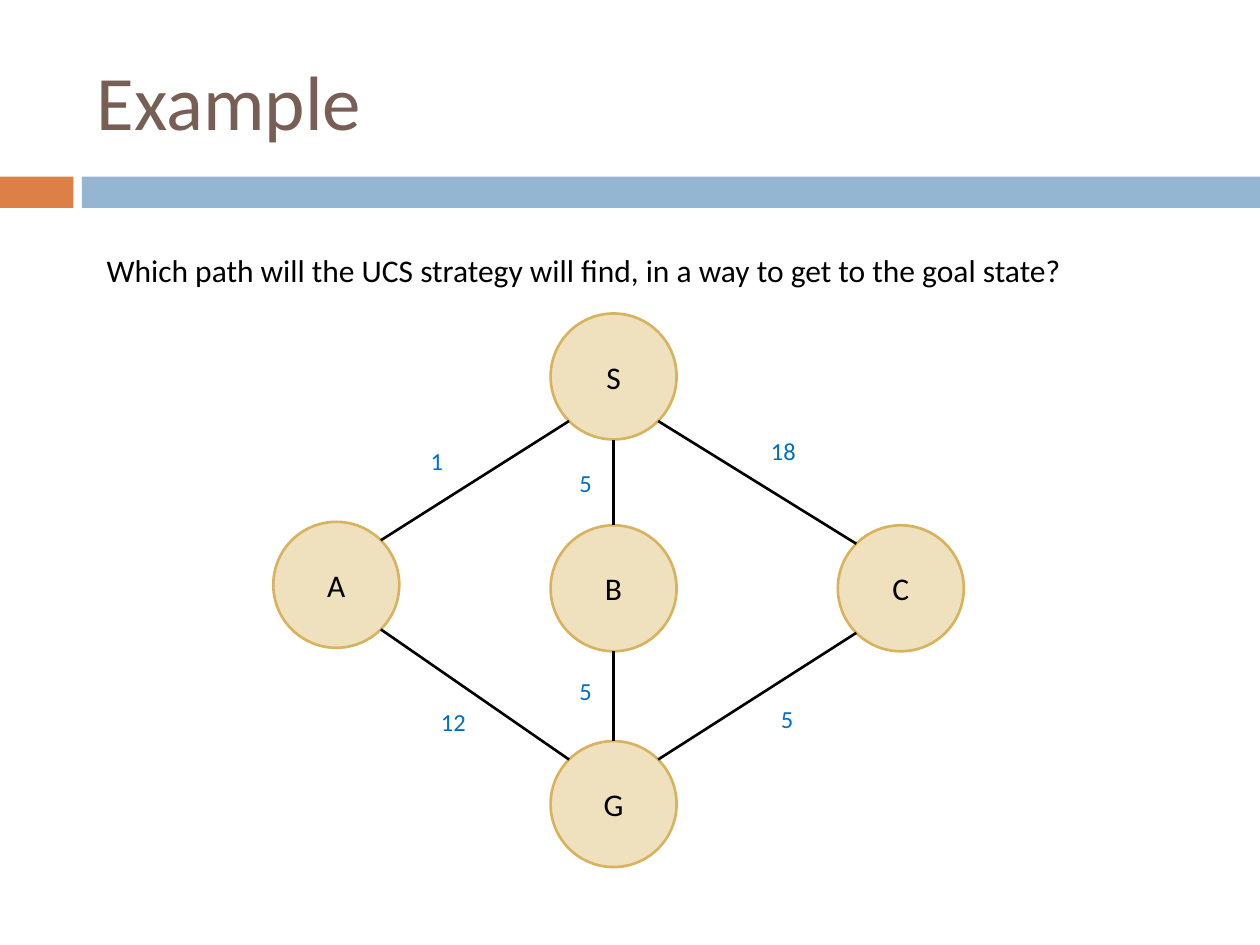
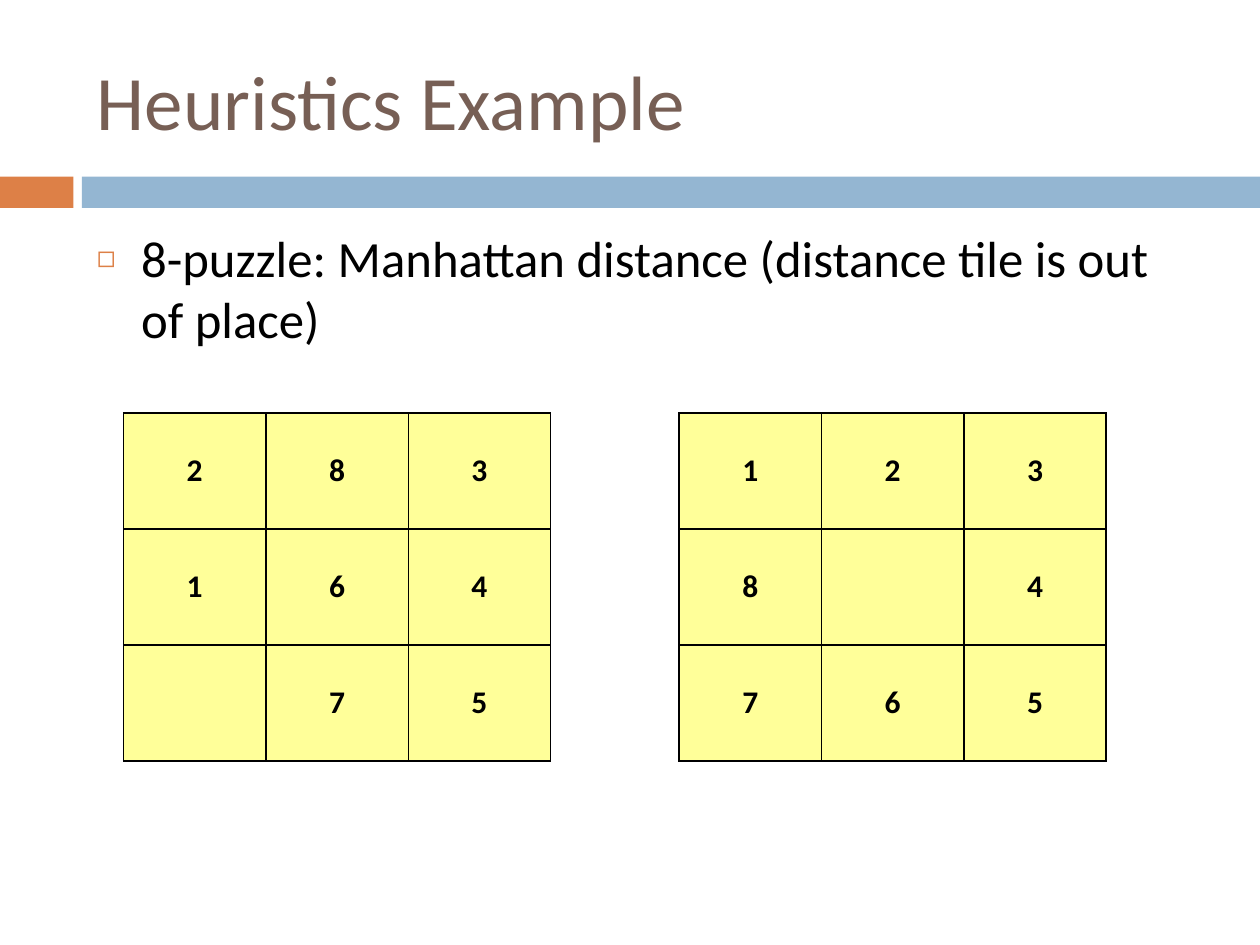
from math import cos, pi, sin

from lxml.etree import SubElement
from pptx import Presentation
from pptx.dml.color import RGBColor
from pptx.enum.shapes import MSO_CONNECTOR, MSO_SHAPE
from pptx.enum.text import MSO_ANCHOR, MSO_AUTO_SIZE, PP_ALIGN
from pptx.oxml.ns import qn
from pptx.util import Cm, Pt

RECT, OVAL = MSO_SHAPE.RECTANGLE, MSO_SHAPE.OVAL
STRAIGHT = MSO_CONNECTOR.STRAIGHT
LEFT, CENTER = PP_ALIGN.LEFT, PP_ALIGN.CENTER
TOP, MIDDLE = MSO_ANCHOR.TOP, MSO_ANCHOR.MIDDLE
FIXED, GROW = MSO_AUTO_SIZE.NONE, MSO_AUTO_SIZE.SHAPE_TO_FIT_TEXT

BLACK = RGBColor(0x00, 0x00, 0x00)
BROWN = RGBColor(0x77, 0x5F, 0x55)
ORANGE = RGBColor(0xDD, 0x80, 0x47)
SKY = RGBColor(0x94, 0xB6, 0xD2)
SAND = RGBColor(0xEF, 0xE0, 0xBE)
GOLD = RGBColor(0xD8, 0xB2, 0x5C)
BLUE = RGBColor(0x00, 0x70, 0xC0)
YELLOW = RGBColor(0xFF, 0xFF, 0x99)

FONT = "Calibri"
HEAD = {"size": Pt(44), "bold": False}
LIST = {"size": Pt(29), "bold": False}
PLAIN = {"size": Pt(18), "bold": False}
COST = {"size": Pt(14), "bold": False}
TILE = {"size": Pt(18), "bold": True}

NODE = 2.54
NODES = {"S": (11.1, 6.32), "A": (5.51, 10.52), "C": (16.89, 10.59),
         "B": (11.1, 10.59), "G": (11.1, 14.94)}
EDGES = [("S", 3, "A", 7), ("S", 4, "B", 0), ("S", 5, "C", 1),
         ("A", 5, "G", 1), ("B", 4, "G", 0), ("G", 7, "C", 3)]
COSTS = [("1", 8.43, 8.86), ("18", 15.29, 8.66), ("5", 11.43, 9.32),
         ("5", 11.43, 13.51), ("12", 8.64, 14.12), ("5", 15.49, 14.07)]
START = ["283", "164", " 75"]
GOAL = ["123", "8 4", "765"]


def assign(thing, values):
    for name, value in values.items():
        setattr(thing, name, value)


class Deck:
    def __init__(self):
        self.file = Presentation()
        assign(self.file, {"slide_width": Cm(25.4), "slide_height": Cm(19.05)})
        self.slide = None

    def page(self, layout, title):
        self.slide = self.file.slides.add_slide(self.file.slide_layouts[layout])
        self.band(0, 1.48, ORANGE)
        self.band(1.65, 23.75, SKY)
        self.holder(self.slide.shapes.title, (1.7, 0.64, 22.66, 2.74),
                    title, HEAD, BROWN, MIDDLE)

    def words(self, frame, text, look, color, align=LEFT):
        para = frame.paragraphs[0]
        para.alignment = align
        run = para.add_run()
        run.text = text
        assign(run.font, {"name": FONT, **look})
        run.font.color.rgb = color
        return para

    def holder(self, shape, box, text, look, color, anchor):
        assign(shape, dict(zip(("left", "top", "width", "height"), map(Cm, box))))
        assign(shape.text_frame, {"vertical_anchor": anchor, "auto_size": FIXED})
        return self.words(shape.text_frame, text, look, color)

    def shape(self, kind, box, fill):
        item = self.slide.shapes.add_shape(kind, *map(Cm, box))
        item.shadow.inherit = False
        item.fill.solid()
        item.fill.fore_color.rgb = fill
        return item

    def band(self, left, width, fill):
        self.shape(RECT, (left, 3.56, width, 0.63), fill).line.fill.background()

    def node(self, name, left, top):
        item = self.shape(OVAL, (left, top, NODE, NODE), SAND)
        item.line.color.rgb = GOLD
        item.line.width = Pt(1.5)
        item.text_frame.vertical_anchor = MIDDLE
        self.words(item.text_frame, name, PLAIN, BLACK, CENTER)
        return item

    def edge(self, first, out, last, into):
        ends = []
        for item, site in ((first, out), (last, into)):
            turn, half = site * pi / 4, item.width / 2
            ends += [int(item.left + half * (1 - sin(turn))),
                     int(item.top + half * (1 - cos(turn)))]
        line = self.slide.shapes.add_connector(STRAIGHT, *ends)
        line.line.color.rgb = BLACK
        line.line.width = Pt(1.5)
        SubElement(line._element.spPr, qn("a:effectLst"))
        joins = line._element.nvCxnSpPr.cNvCxnSpPr
        for tag, item, site in (("a:stCxn", first, out), ("a:endCxn", last, into)):
            SubElement(joins, qn(tag), id=str(item.shape_id), idx=str(site))

    def label(self, text, box, look, color):
        frame = self.slide.shapes.add_textbox(*map(Cm, box)).text_frame
        assign(frame, {"word_wrap": False, "auto_size": GROW})
        self.words(frame, text, look, color)

    def bullet(self, text, box):
        para = self.holder(self.slide.placeholders[1], box, text, LIST, BLACK, TOP)
        para.space_before = Pt(7)
        props = para._p.get_or_add_pPr()
        props.set("marL", str(Cm(0.89)))
        props.set("indent", str(Cm(-0.89)))
        tint = SubElement(props, qn("a:buClr"))
        SubElement(tint, qn("a:srgbClr"), val=str(ORANGE))
        SubElement(props, qn("a:buSzPct"), val="60000")
        SubElement(props, qn("a:buChar"), char="◻")

    def border(self, cell):
        props = cell._tc.get_or_add_tcPr()
        for spot, side in enumerate(("a:lnL", "a:lnR", "a:lnT", "a:lnB")):
            line = SubElement(props, qn(side), w=str(Pt(1)))
            fill = SubElement(line, qn("a:solidFill"))
            SubElement(fill, qn("a:srgbClr"), val=str(BLACK))
            props.insert(spot, line)

    def board(self, rows, left):
        box = map(Cm, (left, 8.33, 8.61, 7.01))
        table = self.slide.shapes.add_table(len(rows), len(rows[0]), *box).table
        assign(table, {"first_row": False, "horz_banding": False})
        for r, row in enumerate(rows):
            for c, tile in enumerate(row):
                cell = table.cell(r, c)
                cell.vertical_anchor = MIDDLE
                cell.fill.solid()
                cell.fill.fore_color.rgb = YELLOW
                self.border(cell)
                if tile != " ":
                    self.words(cell.text_frame, tile, TILE, BLACK, CENTER)


def graph(deck):
    deck.page(5, "Example")
    nodes = {name: deck.node(name, *spot) for name, spot in NODES.items()}
    for first, out, last, into in EDGES:
        deck.edge(nodes[first], out, nodes[last], into)
    for text, left, top in COSTS:
        deck.label(text, (left, top, 0.51 + 0.28 * len(text), 0.86), COST, BLUE)
    deck.label("Which path will the UCS strategy will find, "
               "in a way to get to the goal state?",
               (1.9, 4.93, 20.07, 1.02), PLAIN, BLACK)


def puzzle(deck):
    deck.page(1, "Heuristics Example")
    deck.board(START, 2.49)
    deck.board(GOAL, 13.69)
    deck.bullet("8-puzzle: Manhattan distance (distance tile is out of place)",
                (1.7, 4.45, 22.66, 3.48))


def main():
    deck = Deck()
    graph(deck)
    puzzle(deck)
    deck.file.save("out.pptx")


if __name__ == "__main__":
    main()
